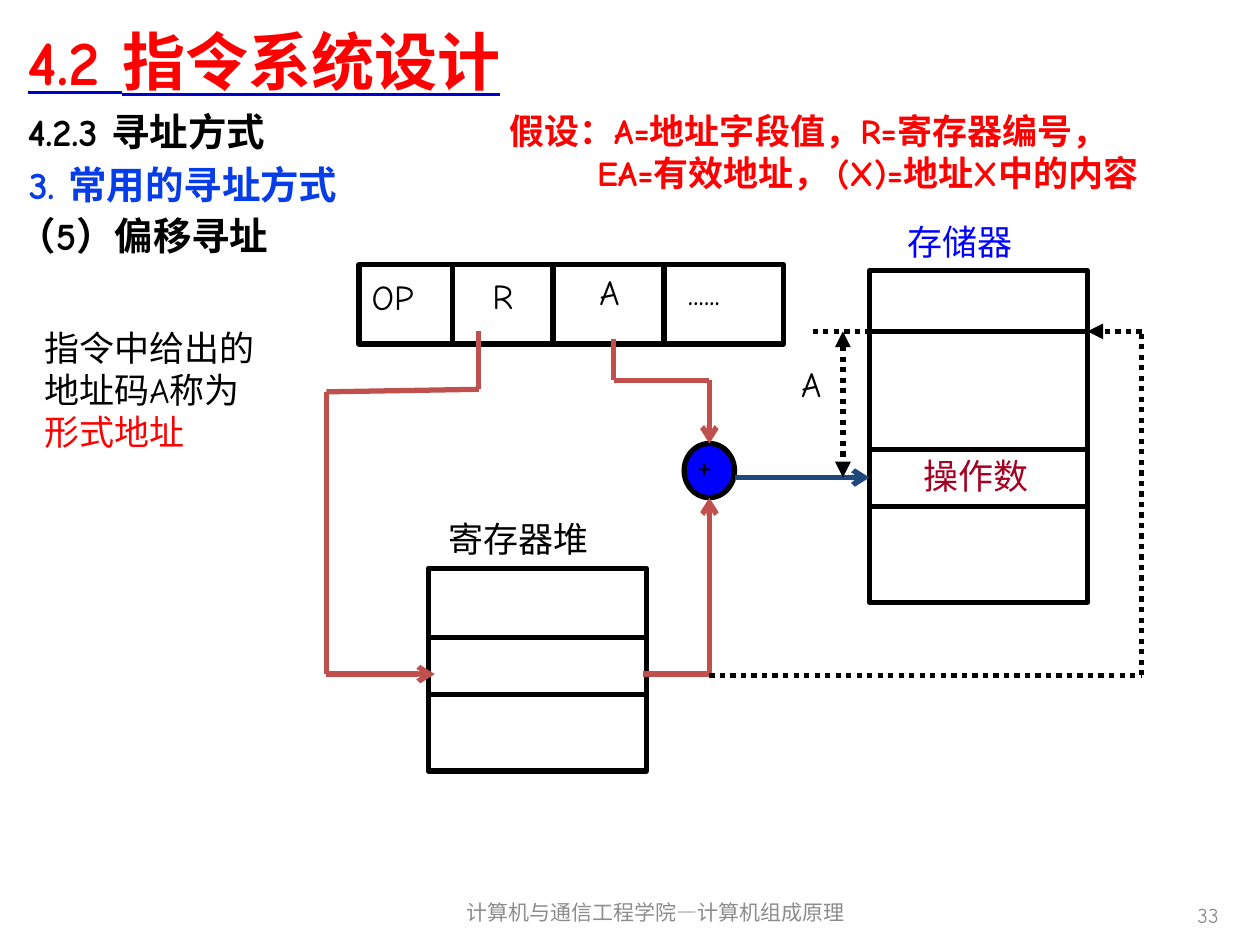
from dataclasses import dataclass
from itertools import pairwise

from lxml.etree import SubElement
from pptx import Presentation
from pptx.dml.color import RGBColor
from pptx.enum.dml import MSO_LINE
from pptx.enum.shapes import MSO_CONNECTOR, MSO_SHAPE
from pptx.enum.text import MSO_ANCHOR, MSO_AUTO_SIZE, PP_ALIGN
from pptx.oxml import parse_xml
from pptx.oxml.ns import nsdecls, qn
from pptx.util import Inches, Pt

FONT = "Comic Neue"
CELL = 0.1
COLORS = {
    "ink": "000000", "alert": "FF0000", "underline": "0000CC", "topic": "063DE8",
    "memory": "0000FF", "operand": "A50021", "wire": "C0504D", "address": "1F497D",
    "footer": "8C8C8C",
}


@dataclass
class Box:
    """A region measured in columns and rows of the 100 by 75 slide grid."""
    left: float
    top: float
    width: float
    height: float

    @property
    def right(self):
        """Return the column of the right edge."""
        return self.left + self.width

    @property
    def bottom(self):
        """Return the row of the bottom edge."""
        return self.top + self.height

    @property
    def center(self):
        """Return the middle column."""
        return self.left + self.width / 2

    def area(self, column, row, width, height):
        """Return a box offset from this one's corner."""
        return Box(self.left + column, self.top + row, width, height)

    def emu(self):
        """Return left, top, width and height as lengths."""
        return [cells(n) for n in (self.left, self.top, self.width, self.height)]


def cells(count):
    """Turn grid cells into a length."""
    return Inches(round(count * CELL, 3))


def color(name):
    """Look up a named colour."""
    return RGBColor.from_string(COLORS[name])


def style(run, size, ink, bold=False):
    """Format one run."""
    run.font.name, run.font.size, run.font.bold = FONT, Pt(size), bold
    run.font.color.rgb = color(ink)


def add_text(slide, box, text, size=20, ink="ink", bold=False, align=PP_ALIGN.LEFT,
             anchor=MSO_ANCHOR.TOP, tight=False):
    """Add wrapped text and return its frame."""
    frame = slide.shapes.add_textbox(*box.emu()).text_frame
    frame.word_wrap, frame.vertical_anchor = True, anchor
    if tight:
        frame.margin_left = frame.margin_right = Inches(0.07)
        frame.margin_top = frame.margin_bottom = Inches(0.03)
    frame.text = text
    for paragraph in frame.paragraphs:
        paragraph.alignment = align
        for run in paragraph.runs:
            style(run, size, ink, bold)
    return frame


def add_outline(slide, box, preset=MSO_SHAPE.RECTANGLE, fill=None):
    """Add a black-edged shape, hollow unless a fill is named."""
    outline = slide.shapes.add_shape(preset, *box.emu())
    outline.shadow.inherit = False
    outline.line.color.rgb, outline.line.width = color("ink"), Pt(3)
    if fill:
        outline.fill.solid()
        outline.fill.fore_color.rgb = color(fill)
    else:
        outline.fill.background()
    return outline


def add_route(slide, points, ink="ink", dotted=False, head=None, tail=None):
    """Join grid points with straight segments and return the last one."""
    segments = []
    for start, end in pairwise(points):
        segment = slide.shapes.add_connector(
            MSO_CONNECTOR.STRAIGHT, *map(cells, (*start, *end)))
        segment.line.color.rgb, segment.line.width = color(ink), Pt(3)
        if dotted:
            segment.line.dash_style = MSO_LINE.ROUND_DOT
        SubElement(segment._element.spPr, qn("a:effectLst"))
        segments.append(segment)
    for segment, tag, kind in ((segments[0], "a:headEnd", head), (segments[-1], "a:tailEnd", tail)):
        if kind:
            SubElement(segment._element.spPr.get_or_add_ln(), qn(tag), type=kind)
    return segments[-1]


def draw_title(slide, box):
    """Place the underlined title."""
    title = slide.shapes.title
    title.left, title.top, title.width, title.height = box.emu()
    frame = title.text_frame
    frame.text = "4.2 指令系统设计"
    frame.auto_size, frame.vertical_anchor = MSO_AUTO_SIZE.NONE, MSO_ANCHOR.MIDDLE
    frame.paragraphs[0].alignment = PP_ALIGN.LEFT
    run = frame.paragraphs[0].runs[0]
    style(run, 36, "alert", True)
    run.font.underline = True
    underline = parse_xml(f'<a:uFill {nsdecls("a")}><a:solidFill><a:srgbClr '
                          f'val="{COLORS["underline"]}"/></a:solidFill></a:uFill>')
    run._r.rPr.find(qn("a:latin")).addprevious(underline)


def draw_headings(slide, box):
    """Place the section headings, the assumptions and the side note."""
    add_text(slide, box.area(0, 0, 96.9, 5.7), "4.2.3 寻址方式", 22, bold=True)
    add_text(slide, box.area(0.1, 4.2, 96.9, 5.5), "3. 常用的寻址方式", 22, "topic", True)
    add_text(slide, box.area(-0.8, 8.2, 95.3, 4.7), "（5）偏移寻址", 22, bold=True)
    assumptions = add_text(slide, box.area(38.5, 0.3, 61.6, 7.3),
                           "假设：A=地址字段值，R=寄存器编号，\nEA=有效地址， (X)=地址X中的内容",
                           20, "alert", True, tight=True)
    assumptions.paragraphs[1]._p.get_or_add_pPr().set("marL", str(cells(7)))
    note = add_text(slide, box.area(1.6, 17.5, 18.5, 10.7), "指令中给出的地址码A称为", tight=True)
    formal = note.paragraphs[0].add_run()
    formal.text = "形式地址"
    style(formal, 20, "alert")


def draw_instruction(slide, box):
    """Draw the instruction word and its fields."""
    add_outline(slide, box)
    for column in (7.4, 15.4, 24.2):
        divider = box.left + column
        add_route(slide, [(divider, box.top), (divider, box.bottom)])
    for field, column, row, width in (("OP", 0, 0.4, 6.5), ("R", 9.6, 0.3, 4.6), ("A", 18.1, 0, 4.6)):
        add_text(slide, box.area(column, row, width, 4.4), field)
    add_text(slide, box.area(25.4, 0.2, 8.4, 3.9), "......", tight=True)


def draw_storage(slide, box, dividers, label, label_box, ink="ink"):
    """Draw a labelled block of storage rows."""
    add_outline(slide, box)
    for row in dividers:
        add_route(slide, [(box.left, box.top + row), (box.right, box.top + row)])
    add_text(slide, label_box, label, ink=ink)


def draw_adder(slide, box):
    """Draw the address adder."""
    adder = add_outline(slide, box, MSO_SHAPE.OVAL, "memory")
    add_text(slide, box.area(0, -0.5, 4, 4.4), "+")
    return adder


def draw_wiring(slide, instruction, registers, memory, sum_box, adder):
    """Route the register, address and base paths between the blocks."""
    bus, base, operand = registers.top + 8.4, memory.top + 4.8, memory.top + 16.4
    r_column, a_column, loop = instruction.left + 9.5, instruction.left + 20.2, registers.left - 8.1
    middle, return_column, offset = sum_box.center, memory.right + 4.3, memory.left - 2.1
    add_route(slide, [(r_column, base), (r_column, 30.9), (loop, 31.1), (loop, bus),
                      (registers.left + 0.5, bus)], "wire", tail="arrow")
    add_route(slide, [(a_column, 26.9), (a_column, 30.2), (middle, 30.2), (middle, sum_box.top)],
              "wire", tail="arrow").end_connect(adder, 0)
    add_route(slide, [(registers.right - 0.3, bus), (middle, bus), (middle, sum_box.bottom)],
              "wire", tail="arrow")
    add_route(slide, [(sum_box.right, operand), (memory.left, operand)], "address", tail="arrow")
    add_route(slide, [(middle, bus + 0.1), (return_column, bus + 0.1), (return_column, base),
                      (memory.right, base)], dotted=True, tail="triangle")
    add_route(slide, [(memory.left - 4.5, base), (memory.left, base)], dotted=True)
    add_route(slide, [(offset, base), (offset, operand)], dotted=True,
              head="triangle", tail="triangle")
    add_text(slide, memory.area(-6.4, 6.8, 5.7, 4.4), "A")


def draw_footer(slide, box):
    """Place the course name and the page number."""
    add_text(slide, box.area(0, 0, 37.1, 4), "计算机与通信工程学院—计算机组成原理", 12, "footer",
             align=PP_ALIGN.CENTER, anchor=MSO_ANCHOR.MIDDLE)
    add_text(slide, box.area(40.9, 0.2, 23.3, 4), "33", 12, "footer",
             align=PP_ALIGN.RIGHT, anchor=MSO_ANCHOR.MIDDLE)


def main():
    """Build and save the slide."""
    deck = Presentation()
    deck.slide_width, deck.slide_height = cells(100), cells(75)
    slide = deck.slides.add_slide(deck.slide_layouts[5])
    instruction, memory = Box(28.5, 21, 33.7, 6.3), Box(69, 21.5, 17.3, 26.3)
    registers, sum_box = Box(34, 45.1, 17.3, 16.1), Box(54.3, 35.2, 4, 4.3)
    draw_title(slide, Box(1.2, 0.5, 96.9, 8.5))
    draw_headings(slide, Box(1.2, 8.1, 97, 29))
    draw_instruction(slide, instruction)
    draw_storage(slide, memory, (4.8, 14.2, 18.7), "存储器", memory.area(2, -4.5, 15.1, 4.3), "memory")
    add_text(slide, memory.area(3.3, 14.1, 11.1, 4.4), "操作数", ink="operand")
    draw_storage(slide, registers, (5.5, 10), "寄存器堆", registers.area(0.6, -4.5, 18.5, 4.3))
    adder = draw_adder(slide, sum_box)
    draw_wiring(slide, instruction, registers, memory, sum_box, adder)
    draw_footer(slide, Box(33.5, 70.4, 64.2, 4.2))
    deck.save("out.pptx")


if __name__ == "__main__":
    main()
